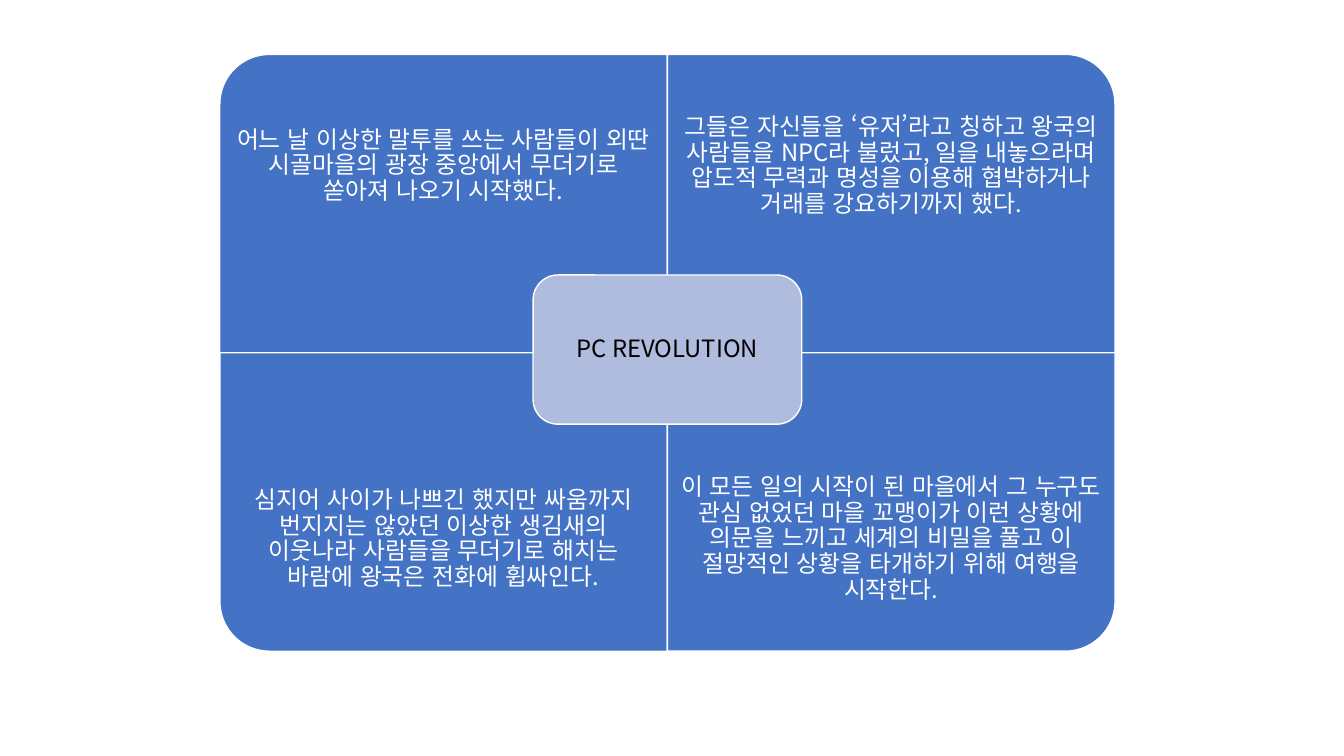
import pptx
import pptx.dml.color
import pptx.enum.lang
import pptx.enum.shapes
import pptx.enum.text
import pptx.oxml
import pptx.oxml.ns
import pptx.util

Cm, Pt = pptx.util.Cm, pptx.util.Pt
SHAPE = pptx.enum.shapes.MSO_SHAPE
FONT = "Noto Sans CJK KR"
COLORS = {"quadrant": "4472C4", "center": "B0BCDE", "white": "FFFFFF", "black": "000000"}

# Matrix geometry in cm
LEFT, TOP = 5.54, 1.37
QUAD_W, QUAD_H = 11.28, 7.52
TEXT_H = QUAD_H * 0.75
CENTER_X, CENTER_Y = 16.82, 8.81
CENTER_W, CENTER_H = 6.77, 3.76
CENTER_PAD = 0.18

# Column, row, rotation that turns the round corner outwards, text
QUADRANTS = [
    (0, 0, 270, "어느 날 이상한 말투를 쓰는 사람들이 외딴 시골마을의 광장 중앙에서 "
                "무더기로 쏟아져 나오기 시작했다."),
    (1, 0, 0, "그들은 자신들을 ‘유저’라고 칭하고 왕국의 사람들을 NPC라 불렀고, 일을 "
              "내놓으라며 압도적 무력과 명성을 이용해 협박하거나 거래를 강요하기까지 했다."),
    (0, 1, 180, "심지어 사이가 나쁘긴 했지만 싸움까지 번지지는 않았던 이상한 생김새의 "
                "이웃나라 사람들을 무더기로 해치는 바람에 왕국은 전화에 휩싸인다."),
    (1, 1, 90, "이 모든 일의 시작이 된 마을에서 그 누구도 관심 없었던 마을 꼬맹이가 이런 "
               "상황에 의문을 느끼고 세계의 비밀을 풀고 이 절망적인 상황을 타개하기 위해 "
               "여행을 시작한다."),
]


def rgb(name):
    return pptx.dml.color.RGBColor.from_string(COLORS[name])


def add_block(slide, kind, cx, cy, w, h, fill, rotation=0):
    """Add a filled shape with a white outline, placed by its centre."""
    sp = slide.shapes.add_shape(kind, Cm(cx - w / 2), Cm(cy - h / 2), Cm(w), Cm(h))
    sp.rotation = rotation
    sp.shadow.inherit = False
    sp.fill.solid()
    sp.fill.fore_color.rgb = rgb(fill)
    sp.line.color.rgb = rgb("white")
    sp.line.width = Pt(1)


def add_text(slide, text, x, y, w, h, color="white", size=17, inset=0.33):
    tf = slide.shapes.add_textbox(Cm(x), Cm(y), Cm(w), Cm(h)).text_frame
    tf.word_wrap = True
    tf.vertical_anchor = pptx.enum.text.MSO_ANCHOR.MIDDLE
    tf.margin_left = tf.margin_right = tf.margin_top = tf.margin_bottom = Cm(inset)
    p = tf.paragraphs[0]
    p.alignment = pptx.enum.text.PP_ALIGN.CENTER
    p.line_spacing = 0.9
    p.space_after = Pt(6)
    r = p.add_run()
    r.text = text
    r.font.size = Pt(size)
    r.font.name = FONT
    r.font.language_id = pptx.enum.lang.MSO_LANGUAGE_ID.KOREAN
    r.font.color.rgb = rgb(color)
    # Hangul uses the East Asian font slot
    ea = pptx.oxml.parse_xml(f'<a:ea {pptx.oxml.ns.nsdecls("a")} typeface="{FONT}"/>')
    r.font._element.find(pptx.oxml.ns.qn("a:latin")).addnext(ea)


def add_quadrant(slide, col, row, rotation, text):
    x, y = LEFT + col * QUAD_W, TOP + row * QUAD_H
    # A quarter turn swaps width and height
    w, h = (QUAD_H, QUAD_W) if rotation % 180 else (QUAD_W, QUAD_H)
    add_block(slide, SHAPE.ROUND_1_RECTANGLE, x + QUAD_W / 2, y + QUAD_H / 2,
              w, h, "quadrant", rotation)
    # Text keeps to the outer three quarters, clear of the centre
    add_text(slide, text, x, y + row * (QUAD_H - TEXT_H), QUAD_W, TEXT_H)


def add_center(slide, text):
    add_block(slide, SHAPE.ROUNDED_RECTANGLE, CENTER_X, CENTER_Y, CENTER_W, CENTER_H, "center")
    w, h = CENTER_W - 2 * CENTER_PAD, CENTER_H - 2 * CENTER_PAD
    add_text(slide, text, CENTER_X - w / 2, CENTER_Y - h / 2, w, h,
             color="black", inset=CENTER_PAD)


def main():
    prs = pptx.Presentation()
    prs.slide_width, prs.slide_height = Cm(33.87), Cm(19.05)
    s = prs.slides.add_slide(prs.slide_layouts[6])

    # Four quadrants, then the title block over their meeting point
    for quadrant in QUADRANTS:
        add_quadrant(s, *quadrant)
    add_center(s, "PC REVOLUTION")

    prs.save("out.pptx")


main()
